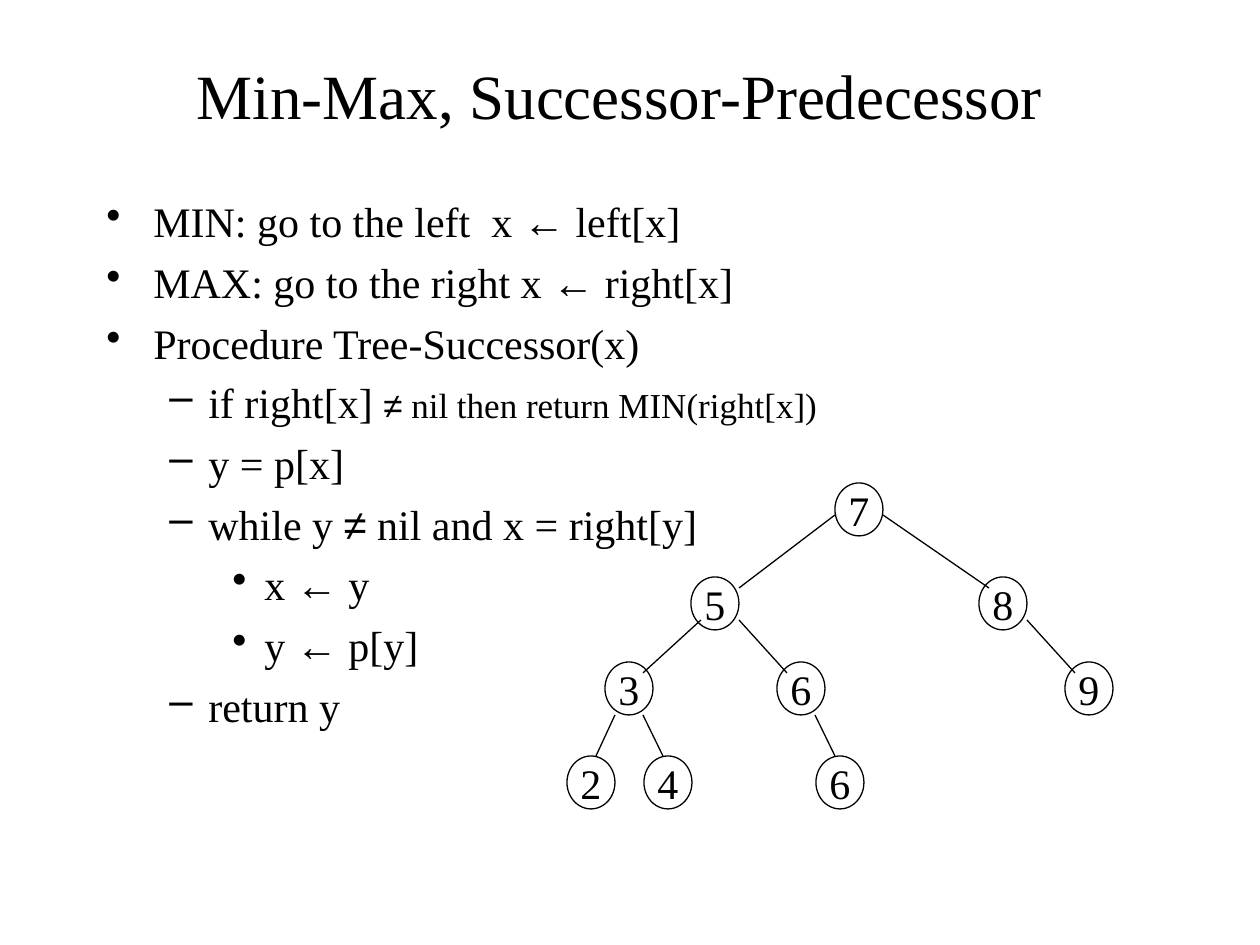
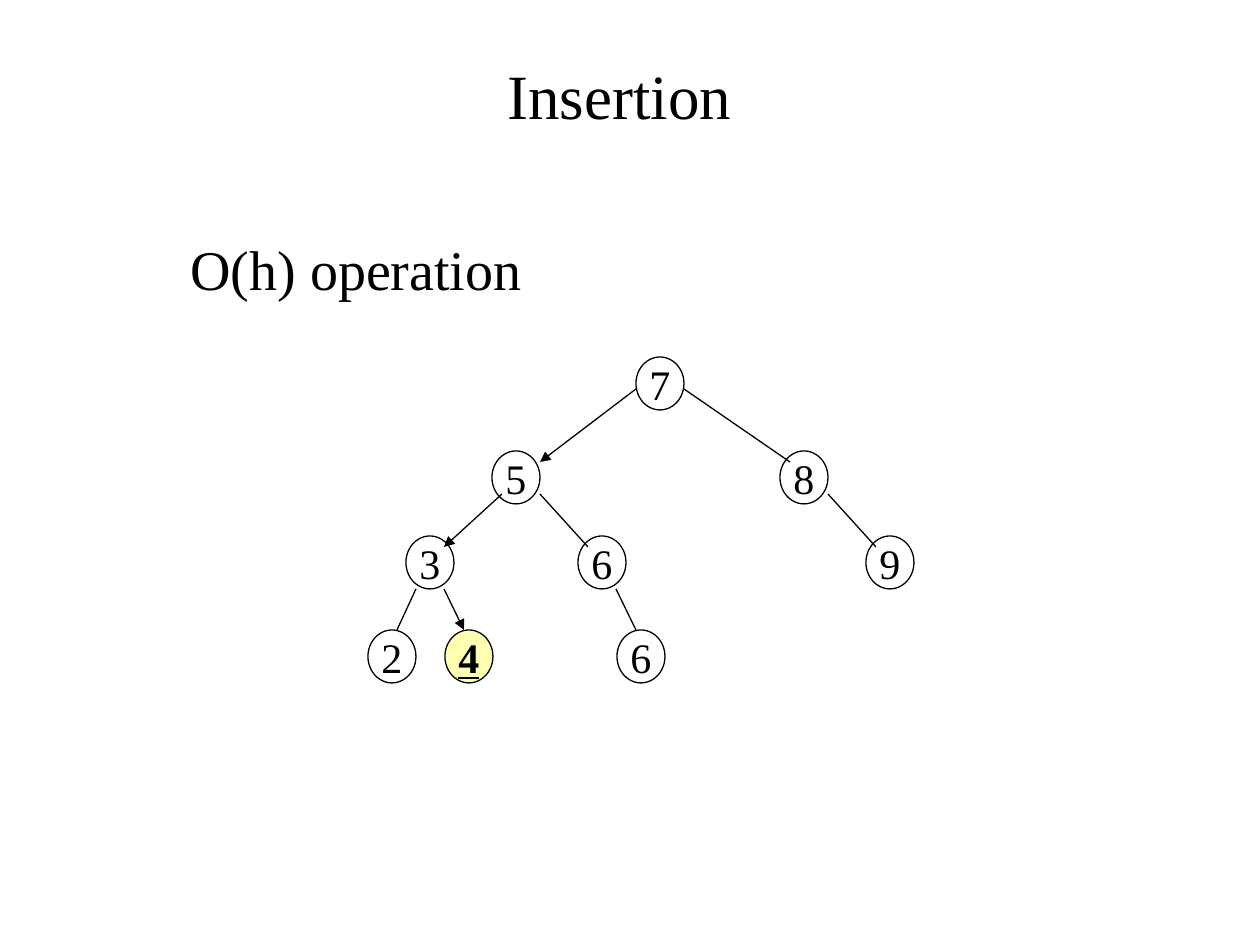
from dataclasses import dataclass
from itertools import groupby

from lxml.etree import SubElement as Sub
from pptx import Presentation
from pptx.dml.color import RGBColor as RGB
from pptx.enum.shapes import MSO_CONNECTOR as Link, MSO_SHAPE as Shape
from pptx.enum.text import MSO_ANCHOR as Anchor, PP_ALIGN as Align
from pptx.oxml.ns import qn
from pptx.util import Pt

SCALE = 914400 // 126  # EMU per pixel


def px(n):
    return n * SCALE


@dataclass(frozen=True)
class Theme:
    ink: RGB = RGB(0, 0, 0)
    paper: RGB = RGB(255, 255, 255)
    mark: RGB = RGB(0xFF, 0xFF, 0x66)
    serif: str = "Times New Roman"
    sans: str = "Arial"
    title: int = 36
    lead: int = 32
    text: int = 24
    small: int = 20
    line: float = 0.74


# Bullet levels: character, left margin, hanging indent
LEVELS = [("•", 47, 47), ("–", 102, 39), ("•", 158, 32)]
SIGNS = "←≠"

# Tree nodes: label, x from the root, row
NODE = (48, 53)
ROWS = [0, 94, 179, 273]
NODES = {
    "root": ("7", 0, 0),
    "L": ("5", -144, 1), "R": ("8", 144, 1),
    "LL": ("3", -230, 2), "LR": ("6", -58, 2), "RR": ("9", 230, 2),
    "LLL": ("2", -268, 3), "LLR": ("4", -191, 3), "LRR": ("6", -19, 3),
}
# Where an edge leaves its parent and meets its child, by parent row and side
PORTS = [
    {"L": ((0, 32), (48, 11)), "R": ((48, 32), (10, 11))},
    {"L": ((10, 43), (38, 11)), "R": ((48, 43), (10, 11))},
    {"L": ((10, 53), (29, 0)), "R": ((38, 53), (19, 0))},
]


class Deck:
    def __init__(self, theme):
        self.theme = theme
        self.prs = Presentation()
        self.prs.slide_width, self.prs.slide_height = px(1260), px(945)
        self.slide = None

    def style(self, font, size, face=None):
        font.name = face or self.theme.serif
        font.size = Pt(size)
        font.color.rgb = self.theme.ink

    def page(self, title):
        self.slide = self.prs.slides.add_slide(self.prs.slide_layouts[5])
        fill = self.slide.background.fill
        fill.solid()
        fill.fore_color.rgb = self.theme.paper
        head = self.slide.shapes.title
        head.left, head.top, head.width, head.height = map(px, (84, 42, 1071, 105))
        frame = head.text_frame
        frame.text = title
        frame.vertical_anchor = Anchor.MIDDLE
        para = frame.paragraphs[0]
        para.alignment = Align.CENTER
        self.style(para.font, self.theme.title)

    def box(self, x, y, w, h, wrap=True):
        frame = self.slide.shapes.add_textbox(px(x), px(y), px(w), px(h)).text_frame
        frame.word_wrap = wrap
        return frame

    def label(self, x, y, w, h, text):
        para = self.box(x, y, w, h, wrap=False).paragraphs[0]
        para.text = text
        self.style(para.font, self.theme.lead)

    def bullets(self, x, y, w, h, items):
        frame = self.box(x, y, w, h)
        for i, (level, *parts) in enumerate(items):
            para = frame.add_paragraph() if i else frame.paragraphs[0]
            self.bullet(para, level)
            para.space_before = Pt(6 if len(parts) == 1 else 5)
            # Parts after the first are set small
            for j, part in enumerate(parts):
                size = self.theme.small if j else self.theme.text
                for sign, chars in groupby(part, lambda c: c in SIGNS):
                    run = para.add_run()
                    run.text = "".join(chars)
                    self.style(run.font, size, self.theme.sans if sign else None)

    def bullet(self, para, level):
        char, left, hang = LEVELS[level]
        para.level = level
        props = para._p.get_or_add_pPr()
        props.set("marL", str(px(left)))
        props.set("indent", str(-px(hang)))
        color = Sub(props, qn("a:buClr"))
        Sub(color, qn("a:srgbClr"), val=str(self.theme.ink))
        Sub(props, qn("a:buChar"), char=char)

    def node(self, x, y, text, marked=False):
        oval = self.slide.shapes.add_shape(Shape.OVAL, px(x), px(y), *map(px, NODE))
        oval.shadow.inherit = False
        oval.line.color.rgb = self.theme.ink
        oval.line.width = Pt(self.theme.line)
        if marked:
            oval.fill.solid()
            oval.fill.fore_color.rgb = self.theme.mark
            color = oval._element.spPr.find(".//" + qn("a:srgbClr"))
            Sub(color, qn("a:alpha"), val="50000")
        else:
            oval.fill.background()
        frame = oval.text_frame
        frame.word_wrap = False
        frame.vertical_anchor = Anchor.MIDDLE
        para = frame.paragraphs[0]
        para.text = text
        para.alignment = Align.CENTER
        self.style(para.font, self.theme.text)
        if marked:
            para.font.bold = para.font.underline = True

    def edge(self, start, end, arrow=False):
        line = self.slide.shapes.add_connector(Link.STRAIGHT, *map(px, start + end))
        line.line.color.rgb = self.theme.ink
        line.line.width = Pt(self.theme.line)
        if arrow:
            Sub(line.line._get_or_add_ln(), qn("a:tailEnd"), type="triangle")
        Sub(line._element.spPr, qn("a:effectLst"))

    def tree(self, x, y, trail=()):
        """Draw the tree; trail lists the nodes on the way to a marked leaf."""
        spots = {key: (x + dx, y + ROWS[row]) for key, (_, dx, row) in NODES.items()}
        for key, (text, _, row) in NODES.items():
            self.node(*spots[key], text, marked=key in trail[-1:])
            if row:
                (px0, py0), (cx, cy) = spots[key[:-1] or "root"], spots[key]
                (ox, oy), (ix, iy) = PORTS[row - 1][key[-1]]
                self.edge((px0 + ox, py0 + oy), (cx + ix, cy + iy), key in trail)


deck = Deck(Theme())

# Slide 1: tree walks
deck.page("Min-Max, Successor-Predecessor")
deck.bullets(94, 189, 1071, 703, [
    (0, "MIN: go to the left  x ← left[x]"),
    (0, "MAX: go to the right x ← right[x]"),
    (0, "Procedure Tree-Successor(x)"),
    (1, "if right[x] ", "≠ nil then return MIN(right[x])"),
    (1, "y = p[x]"),
    (1, "while y ≠ nil and x = right[y]"),
    (2, "x ← y"),
    (2, "y ← p[y]"),
    (1, "return y"),
])
deck.tree(835, 483)

# Slide 2: insertion path
deck.page("Insertion")
deck.tree(636, 357, trail=("L", "LL", "LLR"))
deck.label(178, 228, 357, 81, "O(h) operation")

deck.prs.save("out.pptx")
